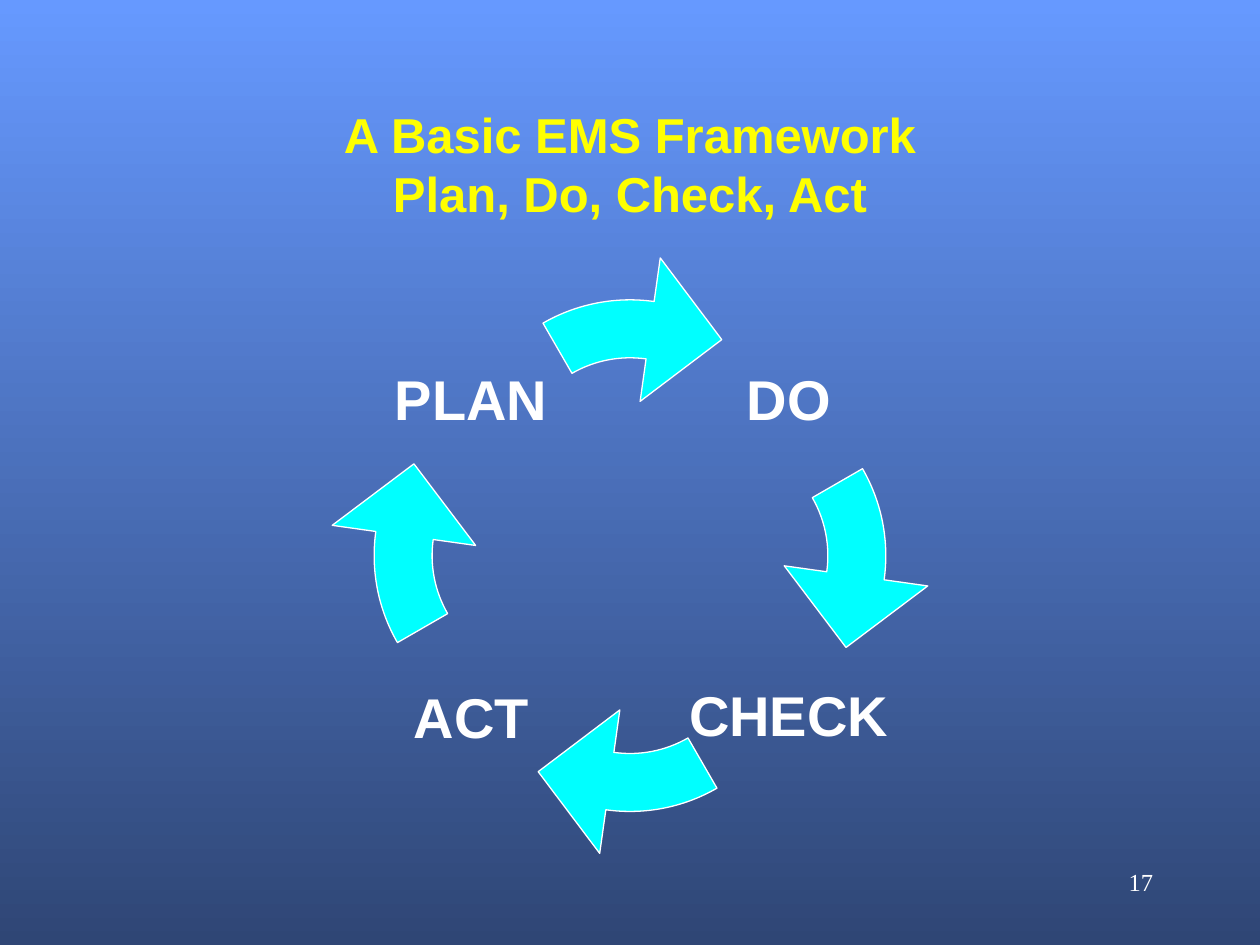
"""Build the Plan, Do, Check, Act cycle slide."""
from math import cos, radians, sin, tan

from lxml.etree import SubElement
from pptx import Presentation
from pptx.dml.color import RGBColor
from pptx.enum.shapes import MSO_SHAPE as Shape
from pptx.enum.text import MSO_ANCHOR as Anchor, PP_ALIGN as Align
from pptx.oxml.ns import qn
from pptx.util import Inches, Pt

SKY = RGBColor(0x66, 0x99, 0xFF)
NAVY = RGBColor(0x2F, 0x46, 0x75)
YELLOW = RGBColor(0xFF, 0xFF, 0x00)
CYAN = RGBColor(0x00, 0xFF, 0xFF)
WHITE = RGBColor(0xFF, 0xFF, 0xFF)

CYCLE_X, CYCLE_Y = 5, 4.41
ARC_OFFSET = 0.65
ARROW_SIZE = 2.77
INNER, OUTER = 0.92, 1.38
BARB_IN, BARB_OUT, TIP = 0.58, 1.73, 1.29
TAIL_ANGLE, NECK_ANGLE, TIP_ANGLE = 240, 278, 304.4

LABEL_SIZE = 1.04
LABELS = [("ACT", 3.22, 5.16), ("CHECK", 5.74, 5.15),
          ("DO", 5.74, 2.64), ("PLAN", 3.22, 2.64)]


def paint_background(slide):
    """Fill the slide with a gradient running from top to bottom."""
    fill = slide.background.fill
    fill.gradient()
    fill.gradient_angle = 270
    for stop, color, position in zip(fill.gradient_stops, (SKY, NAVY), (0, 1)):
        stop.color.rgb = color
        stop.position = position


def write_text(frame, lines, size, color, font="Arial", bold=True,
               align=Align.CENTER, anchor=Anchor.MIDDLE, wrap=True,
               margins=(0.1, 0.05)):
    """Write one paragraph, broken into the given lines, in a text frame."""
    frame.word_wrap = wrap
    frame.vertical_anchor = anchor
    frame.margin_left = frame.margin_right = Inches(margins[0])
    frame.margin_top = frame.margin_bottom = Inches(margins[1])
    paragraph = frame.paragraphs[0]
    paragraph.alignment = align
    for index, line in enumerate(lines):
        if index:
            paragraph.add_line_break()
        run = paragraph.add_run()
        run.text = line
        run.font.name = font
        run.font.size = Pt(size)
        run.font.bold = bold
        run.font.color.rgb = color


def add_text(slide, lines, box, size, color, **style):
    """Add a text box with the given lines."""
    frame = slide.shapes.add_textbox(*map(Inches, box)).text_frame
    write_text(frame, lines, size, color, **style)


def add_label(slide, step, left, top):
    """Add the name of a step, centred on an unfilled square."""
    label = slide.shapes.add_shape(Shape.RECTANGLE, Inches(left), Inches(top),
                                   Inches(LABEL_SIZE), Inches(LABEL_SIZE))
    label.shadow.inherit = False
    label.fill.background()
    label.line.fill.background()
    write_text(label.text_frame, [step], 32, WHITE, wrap=False, margins=(0, 0))


def polar(radius, angle):
    """Return a point about the middle of the arrow's square."""
    return (ARROW_SIZE / 2 + radius * cos(radians(angle)),
            ARROW_SIZE / 2 + radius * sin(radians(angle)))


def arc(radius, start, end):
    """Return the two handles and the end point of a curve along a circle."""
    reach = 4 / 3 * tan(radians(end - start) / 4) * radius
    (x1, y1), (x2, y2) = polar(radius, start), polar(radius, end)
    return [(x1 - reach * sin(radians(start)), y1 + reach * cos(radians(start))),
            (x2 + reach * sin(radians(end)), y2 - reach * cos(radians(end))),
            (x2, y2)]


def arrow_outline():
    """Return the drawing steps of an arrow that starts at its inner neck."""
    return [("a:moveTo", [polar(INNER, NECK_ANGLE)]),
            ("a:cubicBezTo", arc(INNER, NECK_ANGLE, TAIL_ANGLE)),
            ("a:lnTo", [polar(OUTER, TAIL_ANGLE)]),
            ("a:cubicBezTo", arc(OUTER, TAIL_ANGLE, NECK_ANGLE)),
            ("a:lnTo", [polar(BARB_OUT, NECK_ANGLE)]),
            ("a:lnTo", [polar(TIP, TIP_ANGLE)]),
            ("a:lnTo", [polar(BARB_IN, NECK_ANGLE)]),
            ("a:close", [])]


def add_arrow(slide, turn):
    """Add a curved arrow, turned clockwise about the middle of the cycle."""
    left = CYCLE_X + ARC_OFFSET * sin(radians(turn)) - ARROW_SIZE / 2
    top = CYCLE_Y - ARC_OFFSET * cos(radians(turn)) - ARROW_SIZE / 2
    side = Inches(ARROW_SIZE)
    builder = slide.shapes.build_freeform()
    builder.add_line_segments([(side, side)])
    arrow = builder.convert_to_shape(Inches(left), Inches(top))
    outline = next(arrow.element.iter(qn("a:path")))
    for segment in list(outline):
        outline.remove(segment)
    for tag, points in arrow_outline():
        segment = SubElement(outline, qn(tag))
        for x, y in points:
            SubElement(segment, qn("a:pt"), x=str(Inches(x)), y=str(Inches(y)))
    arrow.rotation = turn
    arrow.shadow.inherit = False
    arrow.fill.solid()
    arrow.fill.fore_color.rgb = CYAN
    arrow.line.color.rgb = WHITE
    arrow.line.width = Pt(0.75)


def main():
    """Build and save the slide."""
    deck = Presentation()
    deck.slide_width, deck.slide_height = Inches(10), Inches(7.5)
    slide = deck.slides.add_slide(deck.slide_layouts[6])
    paint_background(slide)
    add_text(slide, ["A Basic EMS Framework", "Plan, Do, Check, Act"],
             (0.75, 0.67, 8.5, 1.25), 28, YELLOW)
    for turn in range(0, 360, 90):
        add_arrow(slide, turn)
    for step, left, top in LABELS:
        add_label(slide, step, left, top)
    add_text(slide, ["17"], (7.17, 6.83, 2.08, 0.5), 14, WHITE,
             font="Times New Roman", bold=False, align=Align.RIGHT,
             anchor=Anchor.TOP)
    deck.save("out.pptx")


if __name__ == "__main__":
    main()
